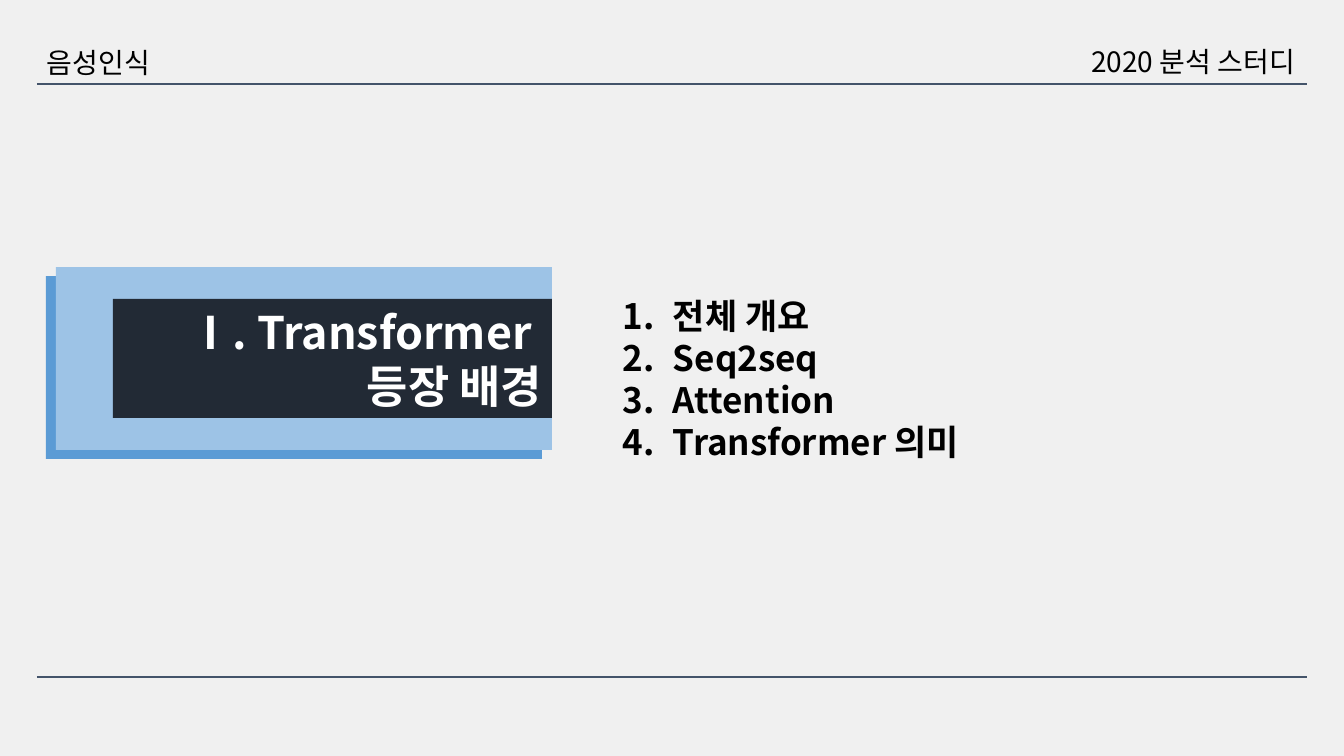
from lxml import etree
from pptx import Presentation
from pptx.dml.color import RGBColor
from pptx.enum.shapes import MSO_CONNECTOR, MSO_SHAPE
from pptx.enum.text import MSO_ANCHOR, MSO_AUTO_SIZE, PP_ALIGN
from pptx.oxml.ns import qn
from pptx.util import Emu, Pt

RECTANGLE = MSO_SHAPE.RECTANGLE
STRAIGHT = MSO_CONNECTOR.STRAIGHT
LEFT, RIGHT = PP_ALIGN.LEFT, PP_ALIGN.RIGHT
TOP, MIDDLE = MSO_ANCHOR.TOP, MSO_ANCHOR.MIDDLE
FIT_SHAPE = MSO_AUTO_SIZE.SHAPE_TO_FIT_TEXT

THEME = {
    "font": "Noto Sans CJK KR",
    "background": "F0F0F0", "rule": "44546A", "text": "000000",
    "back": "5B9BD5", "middle": "9DC3E6", "front": "222A35", "title": "FFFFFF",
    "header_size": 20, "title_size": 32, "list_size": 25, "rule_width": 1.5,
}

HEADERS = [
    ("2020 분석 스터디", (872, 47, 433, 32), RIGHT),
    ("음성인식", (37, 48, 433, 32), LEFT),
]
CHAPTER = "Ⅰ. Transformer \v등장 배경"
TOPICS = ["전체 개요", "Seq2seq", "Attention", "Transformer 의미"]

SLIDE_SIZE = (1344, 756)
RULE_SPAN = (37, 1307)
RULE_HEIGHTS = (84, 677)
PANELS = [
    ("back", (46, 276, 496, 183)),
    ("middle", (56, 267, 496, 183)),
    ("front", (113, 299, 439, 119)),
]
TOPICS_BOX = (562, 290, 672, 179)
TOPIC_INDENT, NUMBER_HANG = 101, 50


def px(length):
    return Emu(round(length * 914400 / 100.8))


def place(box):
    return [px(length) for length in box]


def color(role):
    return RGBColor.from_string(THEME[role])


def write(frame, lines, *, size, role="text", bold=False, align=LEFT,
          anchor=TOP, spacing=None, numbered=False, grow=False):
    frame.word_wrap = True
    frame.vertical_anchor = anchor
    if grow:
        frame.auto_size = FIT_SHAPE
    for index, line in enumerate(lines):
        paragraph = frame.paragraphs[0] if index == 0 else frame.add_paragraph()
        paragraph.text = line
        paragraph.alignment = align
        if spacing:
            paragraph.line_spacing = spacing
        for run in paragraph.runs:
            run.font.size = Pt(THEME[size])
            run.font.bold = bold
            run.font.name = THEME["font"]
            run.font.color.rgb = color(role)
            east_asian = etree.SubElement(run.font._element, qn("a:ea"))
            east_asian.set("typeface", THEME["font"])
        if numbered:
            properties = paragraph._p.get_or_add_pPr()
            properties.set("marL", str(px(TOPIC_INDENT)))
            properties.set("indent", str(-px(NUMBER_HANG)))
            number = etree.SubElement(properties, qn("a:buAutoNum"))
            number.set("type", "arabicPeriod")


deck = Presentation()
deck.slide_width, deck.slide_height = place(SLIDE_SIZE)
slide = deck.slides.add_slide(deck.slide_layouts[6])
slide.background.fill.solid()
slide.background.fill.fore_color.rgb = color("background")

for height in RULE_HEIGHTS:
    start, end = RULE_SPAN
    rule = slide.shapes.add_connector(STRAIGHT, *place((start, height, end, height)))
    rule.line.color.rgb = color("rule")
    rule.line.width = Pt(THEME["rule_width"])
    etree.SubElement(rule._element.spPr, qn("a:effectLst"))

for header, box, align in HEADERS:
    write(slide.shapes.add_textbox(*place(box)).text_frame, [header],
          size="header_size", align=align, anchor=MIDDLE, spacing=0.9)

banner = slide.shapes.add_group_shape()
for role, box in PANELS:
    panel = banner.shapes.add_shape(RECTANGLE, *place(box))
    panel.shadow.inherit = False
    panel.fill.solid()
    panel.fill.fore_color.rgb = color(role)
    panel.line.fill.background()
    if role == "front":
        write(panel.text_frame, [CHAPTER], size="title_size", role="title",
              bold=True, align=RIGHT, anchor=MIDDLE, grow=True)

write(slide.shapes.add_textbox(*place(TOPICS_BOX)).text_frame, TOPICS,
      size="list_size", bold=True, numbered=True, grow=True)

deck.save("out.pptx")
